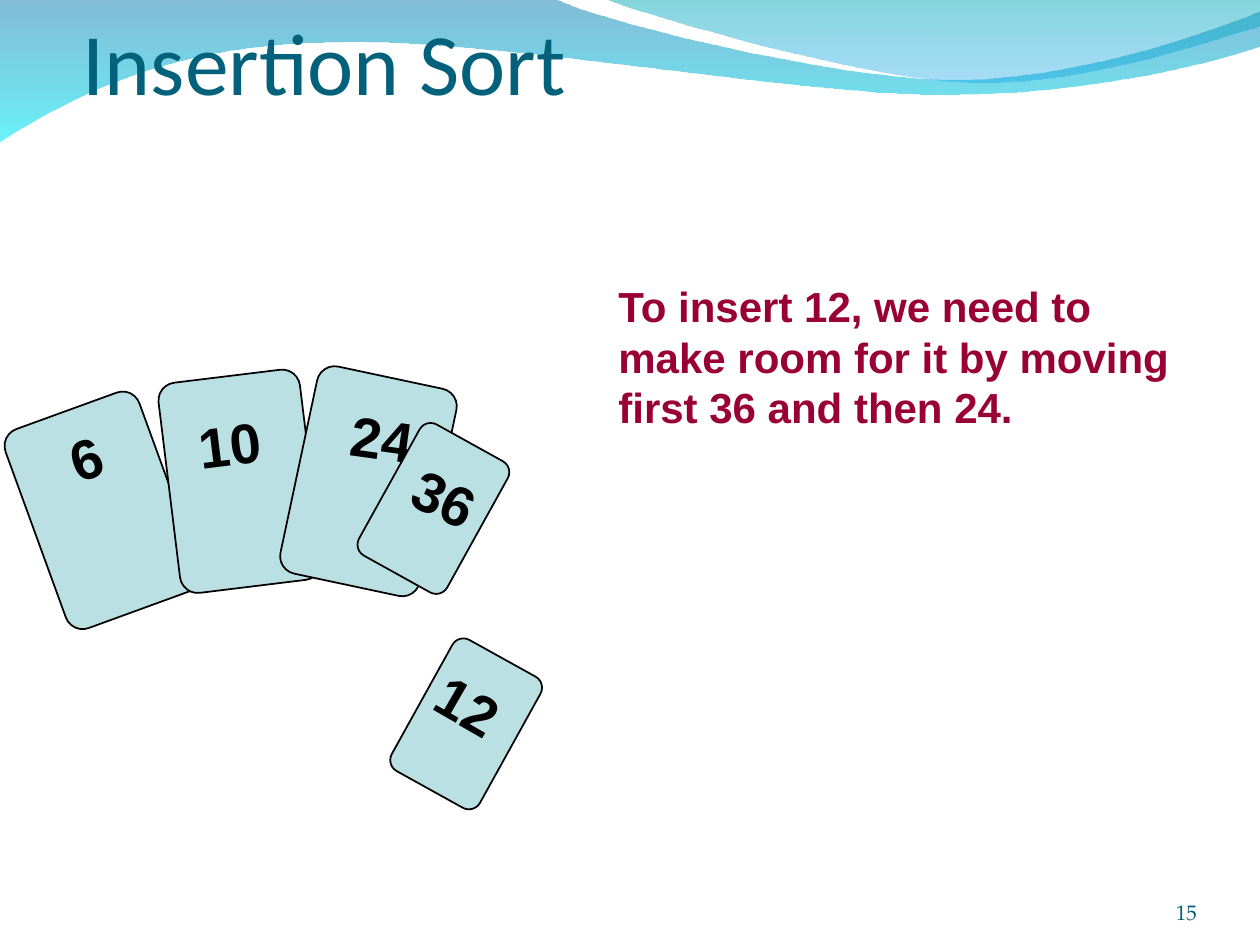
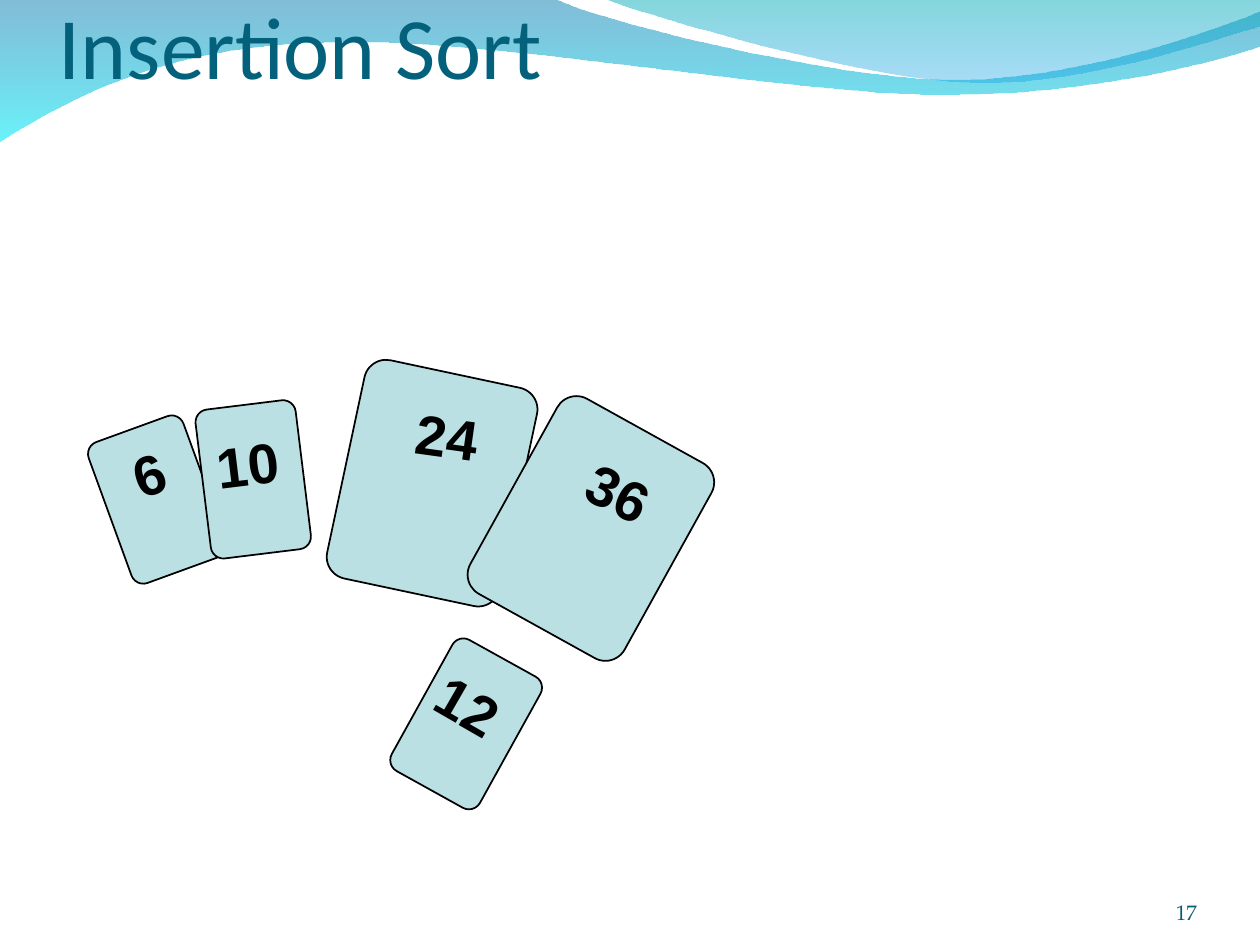
from dataclasses import dataclass

from lxml import etree
from pptx import Presentation
from pptx.dml.color import RGBColor
from pptx.enum.shapes import MSO_SHAPE
from pptx.enum.text import MSO_ANCHOR, MSO_AUTO_SIZE, PP_ALIGN
from pptx.oxml.ns import qn
from pptx.util import Inches, Pt

ROUNDED_RECTANGLE = MSO_SHAPE.ROUNDED_RECTANGLE
TOP, BOTTOM = MSO_ANCHOR.TOP, MSO_ANCHOR.BOTTOM
LEFT, RIGHT = PP_ALIGN.LEFT, PP_ALIGN.RIGHT
FIT_SHAPE, FIXED = MSO_AUTO_SIZE.SHAPE_TO_FIT_TEXT, MSO_AUTO_SIZE.NONE


@dataclass(frozen=True)
class TextStyle:
    font: str
    size: int
    color: str
    bold: bool = False


@dataclass(frozen=True)
class Theme:
    title: TextStyle = TextStyle("Calibri", 50, "04617B")
    note: TextStyle = TextStyle("Arial", 24, "990033", True)
    card_label: TextStyle = TextStyle("Arial", 32, "000000", True)
    slide_number: TextStyle = TextStyle("TeX Gyre Pagella", 12, "045C75")
    card_fill: str = "BBE0E3"
    card_line: str = "000000"
    card_corner: float = 0.125


THEME = Theme()

# Card sizes, and label widths by number of digits
SMALL, MEDIUM, LARGE = (0.8, 1.19), (1.13, 1.68), (1.4, 1.77)
LABEL_WIDTHS = {1: 0.45, 2: 0.7}
LABEL_HEIGHT = 0.63

# Each card: number, size, (left, top), rotation, label (left, top), label rotation
CARD_12 = ("12", SMALL, (3.3, 5.15), 29, (3.37, 5.28), 30)

SLIDES = [
    {
        "title": "Insertion Sort",
        "title_box": (0.56, 0.67, 6.92, 0.28),
        "note": "To insert 12, we need to make room for it by moving first 36 and then 24.",
        "cards": [
            ("6", MEDIUM, (0.25, 3.21), 340, (0.46, 3.31), 341),
            ("10", MEDIUM, (1.34, 2.98), 353, (1.48, 3.2), 353),
            ("24", MEDIUM, (2.36, 2.98), 12, (2.69, 3.16), 8),
            CARD_12,
            ("36", SMALL, (3.04, 3.44), 29, (3.19, 3.63), 25),
        ],
        "number": "15",
    },
    {
        "title": "Insertion Sort",
        "title_box": (0.37, 0.25, 7.1, 0.57),
        "note": None,
        "cards": [
            ("6", SMALL, (0.85, 3.37), 340, (0.96, 3.44), 341),
            ("10", SMALL, (1.61, 3.21), 353, (1.62, 3.36), 353),
            ("24", LARGE, (2.73, 2.95), 12, (3.21, 3.14), 8),
            ("36", LARGE, (3.99, 3.31), 29, (4.57, 3.59), 25),
            CARD_12,
        ],
        "number": "17",
    },
]
NOTE_BOX = (4.81, 2.18, 4.66, 1.3)
NUMBER_BOX = (8.67, 6.95, 0.83, 0.39)

# Waves: a list of points is a line (one point) or a curve (three points);
# gradient stops run from top to bottom as (colour, opacity in percent)
WAVES = [
    {
        "start": (0, -0.01),
        "segments": [
            [(4.4, -0.01)],
            [(4.76, 0.17), (6.64, 0.63), (7.58, 0.63)],
            [(8.53, 0.63), (9.58, 0.26), (10, 0.09)],
            [(10.01, 0.36)],
            [(9.83, 0.44), (8.7, 0.76), (7.46, 0.75)],
            [(6.22, 0.75), (3.82, 0.28), (2.57, 0.34)],
            [(1.29, 0.35), (0.46, 0.83), (-0.01, 1.13)],
        ],
        "stops": [("0079AF", 49), ("00EBF8", 59)],
    },
    {
        "start": (4.79, -0.01),
        "segments": [
            [(5.09, 0.11), (6.82, 0.62), (7.69, 0.65)],
            [(8.56, 0.69), (9.61, 0.32), (10, 0.21)],
            [(10, 0)],
        ],
        "stops": [("00ADB6", 49), ("009BE5", 34)],
    },
]
CURVE_STEPS = 24


def rgb(color):
    return RGBColor.from_string(color)


def curve_points(start, first_control, second_control, end):
    """Points along a cubic curve, without its start."""
    points = []
    for step in range(1, CURVE_STEPS + 1):
        t = step / CURVE_STEPS
        weights = ((1 - t) ** 3, 3 * t * (1 - t) ** 2, 3 * t * t * (1 - t), t ** 3)
        corners = (start, first_control, second_control, end)
        points.append(tuple(sum(weight * corner[axis] for weight, corner in zip(weights, corners))
                            for axis in (0, 1)))
    return points


def add_wave(slide, wave):
    outline = [wave["start"]]
    for segment in wave["segments"]:
        outline += segment if len(segment) == 1 else curve_points(outline[-1], *segment)
    points = [(Inches(x), Inches(y)) for x, y in outline]
    builder = slide.shapes.build_freeform(*points[0])
    builder.add_line_segments(points[1:], close=True)
    shape = builder.convert_to_shape()
    shape.shadow.inherit = False
    shape.line.fill.background()
    shape.fill.gradient()
    shape.fill.gradient_angle = 270
    for stop, (color, _) in zip(shape.fill.gradient_stops, wave["stops"]):
        stop.color.rgb = rgb(color)
    # Opacity of each gradient stop
    gradient = shape.element.spPr.find(qn("a:gradFill"))
    for color_element, (_, opacity) in zip(gradient.iter(qn("a:srgbClr")), wave["stops"]):
        etree.SubElement(color_element, qn("a:alpha")).set("val", str(opacity * 1000))


def add_text(slide, text, box, style, anchor=TOP, align=LEFT, wrap=True,
             auto_size=FIXED, insets=(0.1, 0.05), rotation=0):
    shape = slide.shapes.add_textbox(*map(Inches, box))
    shape.rotation = rotation
    frame = shape.text_frame
    frame.text = text
    frame.word_wrap = wrap
    frame.auto_size = auto_size
    frame.vertical_anchor = anchor
    frame.margin_left = frame.margin_right = Inches(insets[0])
    frame.margin_top = frame.margin_bottom = Inches(insets[1])
    paragraph = frame.paragraphs[0]
    paragraph.alignment = align
    font = paragraph.runs[0].font
    font.name, font.size, font.bold = style.font, Pt(style.size), style.bold
    font.color.rgb = rgb(style.color)


def add_card(slide, number, size, position, rotation, label_position, label_rotation):
    card = slide.shapes.add_shape(ROUNDED_RECTANGLE, *map(Inches, position + size))
    card.adjustments[0] = THEME.card_corner
    card.rotation = rotation
    card.shadow.inherit = False
    card.fill.solid()
    card.fill.fore_color.rgb = rgb(THEME.card_fill)
    card.line.color.rgb = rgb(THEME.card_line)
    card.line.width = Pt(1)
    label_box = label_position + (LABEL_WIDTHS[len(number)], LABEL_HEIGHT)
    add_text(slide, number, label_box, THEME.card_label, wrap=False,
             auto_size=FIT_SHAPE, rotation=label_rotation)


def build_slide(presentation, content):
    slide = presentation.slides.add_slide(presentation.slide_layouts[6])
    # Shared band and title
    for wave in WAVES:
        add_wave(slide, wave)
    add_text(slide, content["title"], content["title_box"], THEME.title, anchor=BOTTOM)
    # Explanation and hand of cards
    if content["note"]:
        add_text(slide, content["note"], NOTE_BOX, THEME.note, auto_size=FIT_SHAPE)
    for card in content["cards"]:
        add_card(slide, *card)
    # Footer
    add_text(slide, content["number"], NUMBER_BOX, THEME.slide_number,
             anchor=BOTTOM, align=RIGHT, insets=(0, 0))


def main():
    presentation = Presentation()
    presentation.slide_width, presentation.slide_height = Inches(10), Inches(7.5)
    for content in SLIDES:
        build_slide(presentation, content)
    presentation.save("out.pptx")


if __name__ == "__main__":
    main()
